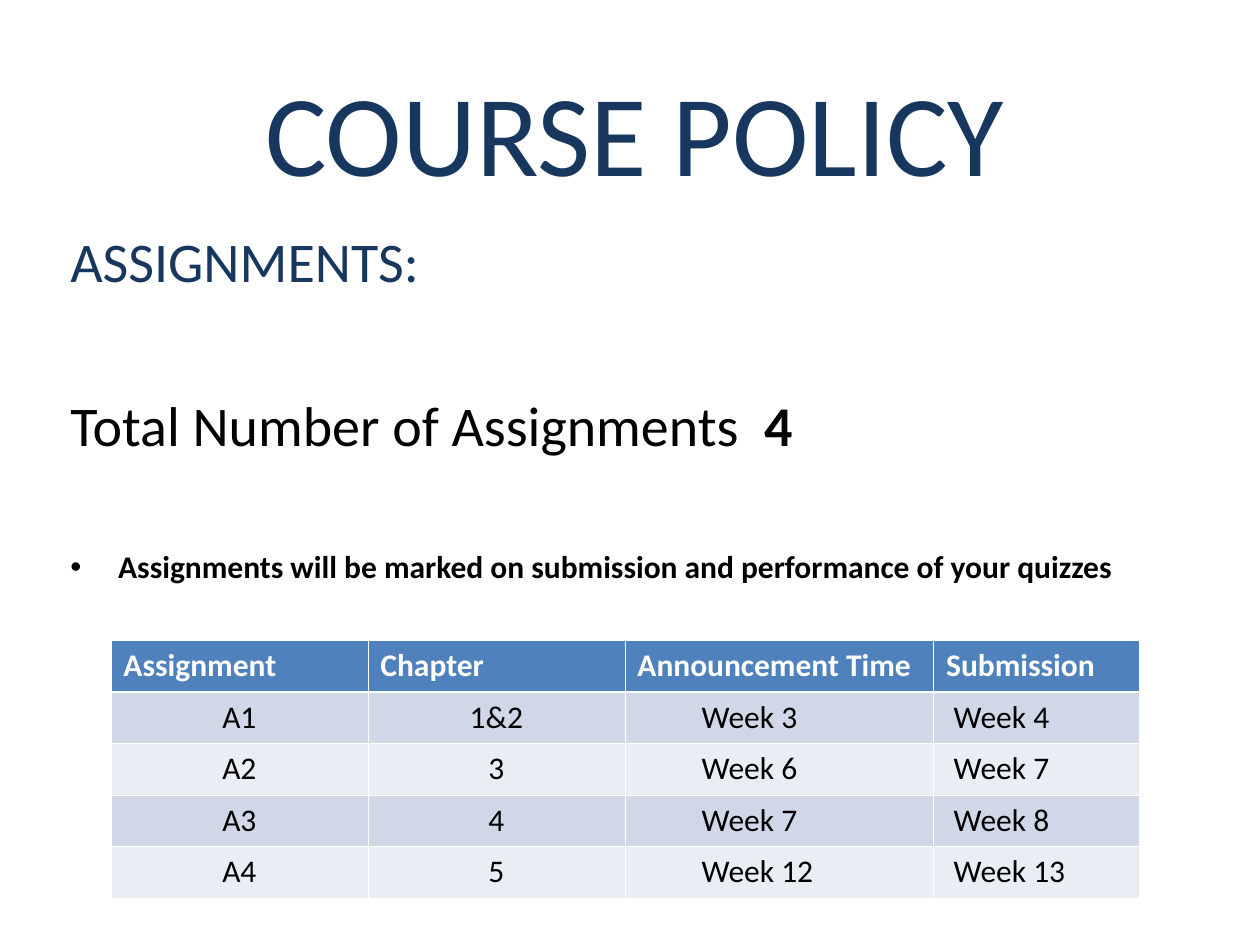
from lxml.etree import SubElement
from pptx import Presentation
from pptx.dml.color import RGBColor
from pptx.enum.text import MSO_ANCHOR, MSO_AUTO_SIZE, PP_ALIGN
from pptx.oxml.ns import qn
from pptx.util import Inches, Pt

COLORS = {
    "navy": "17375E",
    "black": "000000",
    "white": "FFFFFF",
    "header": "4F81BD",
    "odd_row": "D0D8E8",
    "even_row": "E9EDF4",
}
FONT = "Calibri"
HEADERS = ["Assignment", "Chapter", "Announcement Time", "Submission"]
SCHEDULE = [
    ["A1", "1&2", "Week 3", "Week 4"],
    ["A2", "3", "Week 6", "Week 7"],
    ["A3", "4", "Week 7", "Week 8"],
    ["A4", "5", "Week 12", "Week 13"],
]
COLUMN_WIDTHS = [2.04, 2.04, 2.45, 1.63]
COLUMN_ALIGNS = [PP_ALIGN.CENTER, PP_ALIGN.CENTER, PP_ALIGN.LEFT, PP_ALIGN.LEFT]
COLUMN_MARGINS = [0.1, 0.1, 0.61, 0.16]
ROW_HEIGHT = 0.41


def add_text(para, text, size=18, color="black", bold=False, align=PP_ALIGN.LEFT, before=0):
    para.alignment = align
    para.space_before = Pt(before)
    span = para.add_run()
    span.text = text
    span.font.name = FONT
    span.font.size = Pt(size)
    span.font.bold = bold
    span.font.color.rgb = RGBColor.from_string(COLORS[color])


def add_bullet(para):
    properties = para._p.get_or_add_pPr()
    properties.set("marL", str(Inches(0.38)))
    properties.set("indent", str(-Inches(0.38)))
    SubElement(properties, qn("a:buFont"), typeface="Arial")
    SubElement(properties, qn("a:buChar"), char="•")


def set_borders(cell, top, bottom):
    properties = cell._tc.get_or_add_tcPr()
    widths = {"a:lnL": 0.45, "a:lnR": 0.45, "a:lnT": top, "a:lnB": bottom}
    for position, (tag, width) in enumerate(widths.items()):
        line = SubElement(properties, qn(tag), w=str(Pt(width)))
        fill = SubElement(line, qn("a:solidFill"))
        SubElement(fill, qn("a:srgbClr"), val=COLORS["white"])
        properties.insert(position, line)


def add_title(page):
    title = page.shapes.title
    title.left, title.top = Inches(0.33), Inches(0.25)
    title.width, title.height = Inches(9.42), Inches(1.57)
    title.text_frame.vertical_anchor = MSO_ANCHOR.MIDDLE
    title.text_frame.auto_size = MSO_AUTO_SIZE.NONE
    add_text(title.text_frame.paragraphs[0], "COURSE POLICY", size=66, color="navy", align=PP_ALIGN.CENTER)


def add_policy(page):
    box = page.shapes.add_textbox(Inches(0.46), Inches(1.75), Inches(9), Inches(5.5))
    frame = box.text_frame
    frame.word_wrap = True
    add_text(frame.paragraphs[0], "ASSIGNMENTS:", size=32, color="navy", before=8)
    total = frame.add_paragraph()
    add_text(total, "Total Number of Assignments  ", size=32, before=55)
    add_text(total, "4", size=32, bold=True, before=55)
    rule = frame.add_paragraph()
    add_text(rule, "Assignments will be marked on submission and performance of your quizzes", bold=True, before=51.5)
    add_bullet(rule)


def add_schedule(page):
    rows = [HEADERS] + SCHEDULE
    frame = page.shapes.add_table(
        len(rows), len(HEADERS), Inches(0.88), Inches(5.08),
        Inches(sum(COLUMN_WIDTHS)), Inches(ROW_HEIGHT * len(rows)))
    table = frame.table
    for column, width in zip(table.columns, COLUMN_WIDTHS):
        column.width = Inches(width)
    for row_number, values in enumerate(rows):
        table.rows[row_number].height = Inches(ROW_HEIGHT)
        is_header = row_number == 0
        fill = "header" if is_header else ("odd_row" if row_number % 2 else "even_row")
        for column_number, value in enumerate(values):
            cell = table.cell(row_number, column_number)
            cell.fill.solid()
            cell.fill.fore_color.rgb = RGBColor.from_string(COLORS[fill])
            cell.margin_left = Inches(0.1 if is_header else COLUMN_MARGINS[column_number])
            set_borders(cell, 1.47 if row_number == 1 else 0.45, 1.47 if is_header else 0.45)
            add_text(
                cell.text_frame.paragraphs[0], value, bold=is_header,
                color="white" if is_header else "black",
                align=PP_ALIGN.LEFT if is_header else COLUMN_ALIGNS[column_number])


def main():
    deck = Presentation()
    deck.slide_width, deck.slide_height = Inches(10), Inches(7.5)
    page = deck.slides.add_slide(deck.slide_layouts[5])
    add_title(page)
    add_policy(page)
    add_schedule(page)
    deck.save("out.pptx")


if __name__ == "__main__":
    main()
